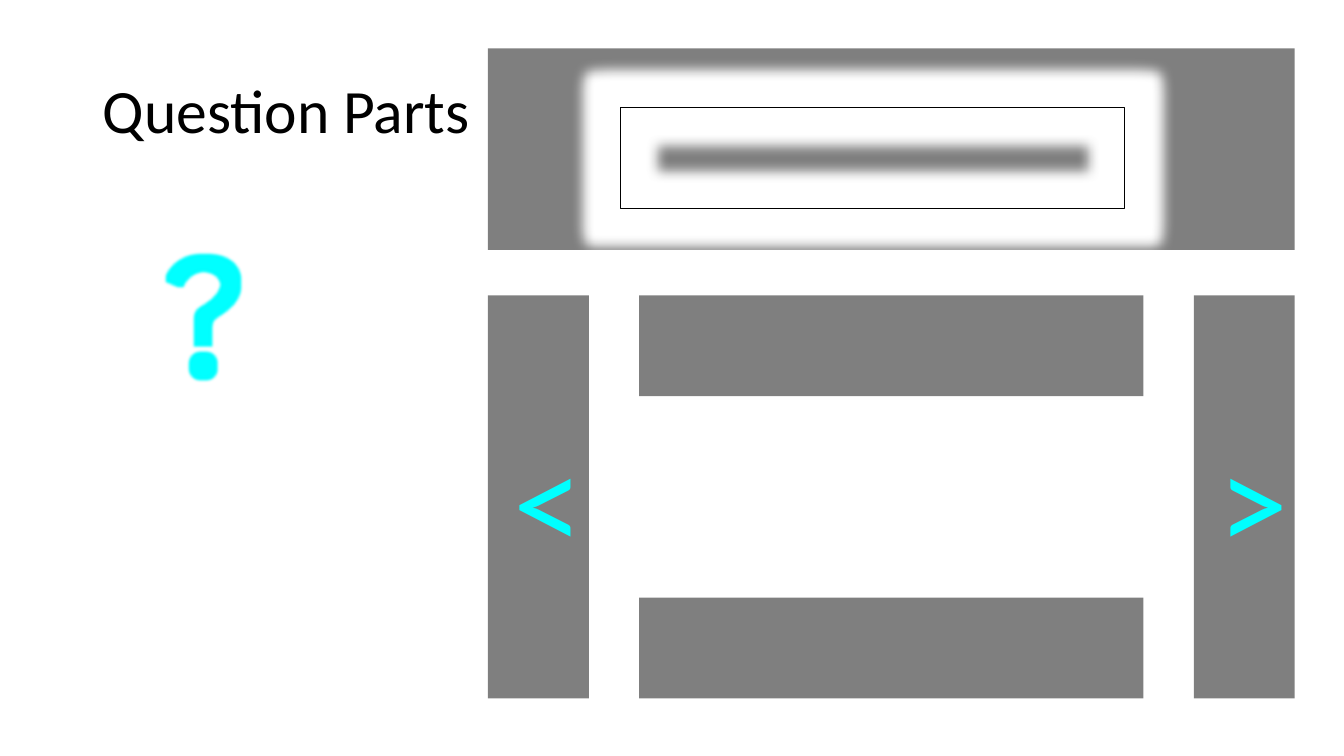
from lxml import etree
from pptx import Presentation
from pptx.dml.color import RGBColor
from pptx.enum.shapes import MSO_SHAPE as Shape
from pptx.enum.text import MSO_ANCHOR as Anchor, MSO_AUTO_SIZE as AutoSize, PP_ALIGN as Align
from pptx.oxml.ns import qn
from pptx.util import Inches, Pt

COLORS = {"black": "000000", "cyan": "00FFFF", "white": "FFFFFF"}

# Content: left, top, width, height in inches, then the symbol shown
PANELS = [
    ((6.34, 2.93, 5, 1), None),
    ((4.84, 0.48, 8, 2), None),
    ((11.84, 2.93, 1, 4), ">"),
    ((6.34, 5.93, 5, 1), None),
    ((4.84, 2.93, 1, 4), "<"),
]
TITLE = ("Question Parts", (0.92, 0.4, 11.5, 1.45))
QUESTION = ("?", (1.54, 2.27, 1, 1.5))
FRAME = (6.15, 1.07, 5, 1)
PANEL_INSET = 0.25


def rgb(name):
    return RGBColor.from_string(COLORS[name])


def place(area):
    return [Inches(length) for length in area]


def add_color(parent, name):
    return etree.SubElement(parent, qn("a:srgbClr"), val=COLORS[name])


def make_glow(name, points):
    effects = etree.Element(qn("a:effectLst"))
    glow = etree.SubElement(effects, qn("a:glow"), rad=str(Pt(points)))
    add_color(glow, name)
    return effects


def make_outline(name, points):
    line = etree.Element(qn("a:ln"), w=str(Pt(points)))
    add_color(etree.SubElement(line, qn("a:solidFill")), name)
    return line


def write(box, text, size, font, color, align=Align.CENTER, outline=None, glow=None):
    frame = box.text_frame
    frame.vertical_anchor = Anchor.MIDDLE
    para = frame.paragraphs[0]
    para.alignment = align
    span = para.add_run()
    span.text = text
    span.font.size = Pt(size)
    span.font.color.rgb = rgb(color)
    span.font.name = font
    properties = span.font.fill._xPr
    if outline:
        properties.insert(0, make_outline(*outline))
    if glow:
        properties.find(qn("a:latin")).addprevious(make_glow(*glow))
    return para


def add_panel(page, area, symbol):
    panel = page.shapes.add_shape(Shape.RECTANGLE, *place(area))
    panel.shadow.inherit = False
    panel.fill.solid()
    panel.fill.fore_color.rgb = rgb("black")
    panel.line.fill.background()
    color = panel.fill._xPr.find(qn("a:solidFill"))[0]
    etree.SubElement(color, qn("a:alpha"), val="50000")
    if symbol:
        frame = panel.text_frame
        frame.margin_left = frame.margin_right = Inches(PANEL_INSET)
        frame.margin_top = frame.margin_bottom = Inches(PANEL_INSET)
        write(panel, symbol, 100, "Calibri", "cyan", outline=("cyan", 1))


def main():
    deck = Presentation()
    deck.slide_width, deck.slide_height = Inches(13.33), Inches(7.5)
    page = deck.slides.add_slide(deck.slide_layouts[6])

    # Title
    text, area = TITLE
    title = page.shapes.add_textbox(*place(area))
    title.text_frame.word_wrap = True
    para = write(title, text, 44, "Calibri", "black", Align.LEFT)
    para.line_spacing = 0.9

    # Translucent panels and arrows
    for area, symbol in PANELS:
        add_panel(page, area, symbol)

    # Glowing frame
    frame = page.shapes.add_shape(Shape.RECTANGLE, *place(FRAME))
    frame.fill.background()
    frame.line.color.rgb = rgb("black")
    frame.line.width = Pt(0)
    frame.line._ln.addnext(make_glow("white", 18))

    # Question mark
    text, area = QUESTION
    question = page.shapes.add_textbox(*place(area))
    question.text_frame.word_wrap = False
    question.text_frame.auto_size = AutoSize.SHAPE_TO_FIT_TEXT
    write(question, text, 125, "League Spartan", "cyan",
          outline=("black", 2.5), glow=("cyan", 5))

    deck.save("out.pptx")


if __name__ == "__main__":
    main()
